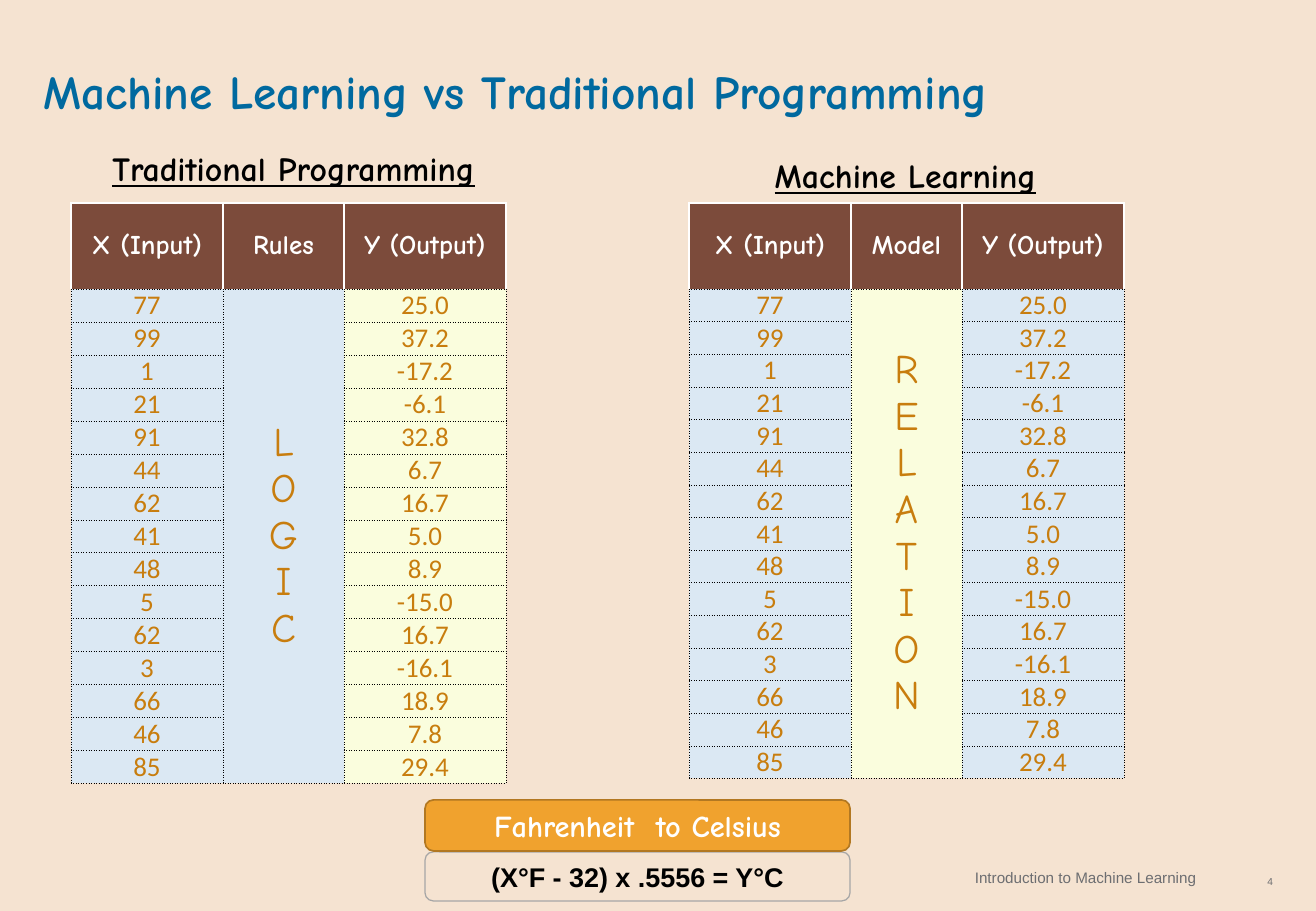
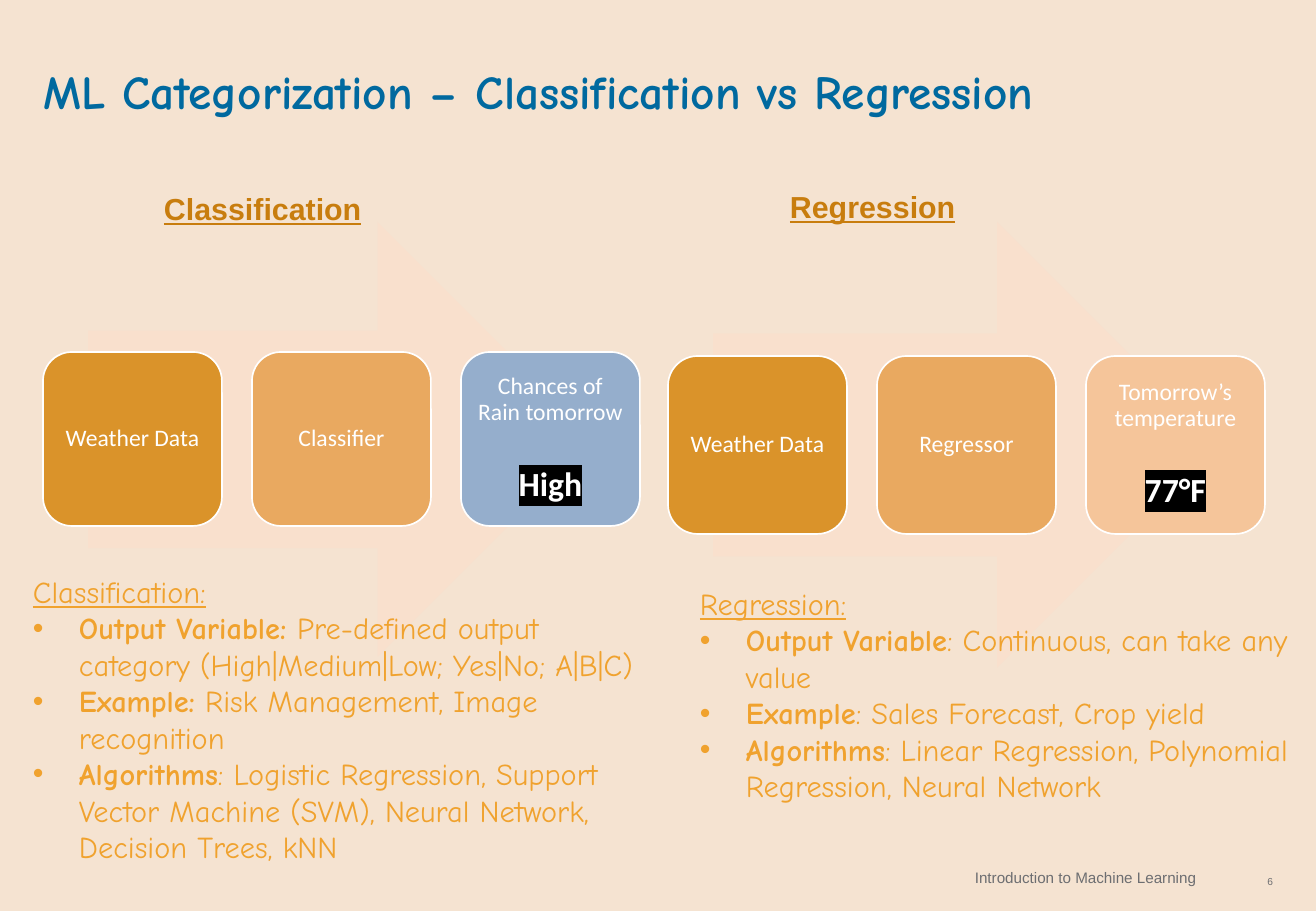
"""Build two slides that compare machine learning approaches."""
import dataclasses

import lxml.etree
import pptx
import pptx.dml.color
import pptx.enum.shapes
import pptx.enum.text
import pptx.oxml.ns
import pptx.util

ALIGN = pptx.enum.text.PP_ALIGN
ANCHOR = pptx.enum.text.MSO_ANCHOR
SHAPE = pptx.enum.shapes.MSO_SHAPE
COMIC, PLAIN, CARD = "Comic Neue", "Arial", "Calibri"
SAND, BLUE, BROWN, OCHRE, GOLD = "F5E3D1", "00699F", "7C4B3B", "C87D0E", "F0A22E"
GREY, WHITE, BLACK, ICE, CREAM = "6D6E71", "FFFFFF", "000000", "DBE8F3", "FAFDDD"


@dataclasses.dataclass(frozen=True)
class Look:
    face: str
    size: int
    hue: str
    bold: bool = False
    under: bool = False
    mark: str = ""


def px(count):
    return pptx.util.Emu(round(count * 914400 / 121.5))


def color(code):
    return pptx.dml.color.RGBColor.from_string(code)


def node(root, tag, **attrs):
    return lxml.etree.SubElement(root, pptx.oxml.ns.qn(tag), **attrs)


class Deck:
    def __init__(self):
        self.show = pptx.Presentation()
        self.show.slide_width, self.show.slide_height = px(1316), px(911)
        ground = self.show.slide_master.background.fill
        ground.solid()
        ground.fore_color.rgb = color(SAND)
        self.slide = None

    def start(self, title, number):
        self.slide = self.show.slides.add_slide(self.show.slide_layouts[5])
        head = self.slide.shapes.title
        head.left, head.top, head.width, head.height = map(px, (43, 27, 1231, 93))
        frame = head.text_frame
        frame.auto_size = pptx.enum.text.MSO_AUTO_SIZE.NONE
        self.inset(frame, 0)
        frame.vertical_anchor = ANCHOR.BOTTOM
        self.line(frame, [(title, Look(COMIC, 28, BLUE, True))]).line_spacing = 0.9
        for text, box, size in (
            ("Introduction to Machine Learning", (752, 860, 444, 34), 9),
            (str(number), (1226, 861, 47, 40), 6),
        ):
            self.text(box, text, Look(PLAIN, size, GREY), ALIGN.RIGHT, 0, ANCHOR.MIDDLE)

    def inset(self, item, side):
        item.margin_left = item.margin_right = px(side)
        item.margin_top = item.margin_bottom = px(side)

    def line(self, frame, runs, align=ALIGN.LEFT, first=True):
        par = frame.paragraphs[0] if first else frame.add_paragraph()
        par.alignment = align
        for text, look in runs:
            run = par.add_run()
            run.text = text
            font = run.font
            font.size = pptx.util.Pt(look.size)
            font.bold, font.underline = look.bold, look.under
            font.color.rgb = color(look.hue)
            font.name = look.face
            if look.mark:
                props = run._r.get_or_add_rPr()
                mark = node(props, "a:highlight")
                node(mark, "a:srgbClr", val=look.mark)
                props.find(pptx.oxml.ns.qn("a:solidFill")).addnext(mark)
        return par

    def text(self, box, text, look, align=ALIGN.LEFT, side=None, anchor=ANCHOR.TOP):
        frame = self.slide.shapes.add_textbox(*map(px, box)).text_frame
        frame.word_wrap = True
        frame.vertical_anchor = anchor
        if side is not None:
            self.inset(frame, side)
        self.line(frame, [(text, look)], align)
        return frame

    def shape(self, kind, box, fill="", edge="", width=1.0):
        item = self.slide.shapes.add_shape(kind, *map(px, box))
        item.shadow.inherit = False
        if fill:
            item.fill.solid()
            item.fill.fore_color.rgb = color(fill)
        else:
            item.fill.background()
        if edge:
            item.line.color.rgb = color(edge)
            item.line.width = pptx.util.Pt(width)
        else:
            item.line.fill.background()
        frame = item.text_frame
        frame.word_wrap = True
        frame.vertical_anchor = ANCHOR.MIDDLE
        return frame

    def bullets(self, box, title, points):
        look = Look(COMIC, 18, GOLD)
        strong = dataclasses.replace(look, bold=True)
        frame = self.text(box, title, dataclasses.replace(look, under=True))
        for lead, rest in points:
            par = self.line(frame, [(lead, strong), (rest, look)], first=False)
            props = par._p.get_or_add_pPr()
            props.set("marL", str(px(46)))
            props.set("indent", str(-px(46)))
            node(props, "a:buFont", typeface=PLAIN)
            node(props, "a:buChar", char="•")

    def edges(self, cell, head):
        props = cell._tc.get_or_add_tcPr()
        for side in "LRTB":
            solid = head and side != "B"
            edge = node(props, "a:ln" + side, w="12700" if solid else "3175")
            node(node(edge, "a:solidFill"), "a:srgbClr", val=WHITE if solid else BLACK)
            node(edge, "a:prstDash", val="solid" if solid else "sysDot")

    def cell(self, cell, lines, look, fill, head=False):
        self.edges(cell, head)
        cell.fill.solid()
        cell.fill.fore_color.rgb = color(fill)
        cell.vertical_anchor = ANCHOR.MIDDLE
        self.inset(cell, 0)
        for index, text in enumerate(lines):
            self.line(cell.text_frame, [(text, look)], ALIGN.CENTER, index == 0)

    def table(self, left, widths, depth, heads, word, fills, pairs):
        rows = len(pairs) + 1
        box = (left, 203, sum(widths), 86 + depth)
        grid = self.slide.shapes.add_table(rows, 3, *map(px, box)).table
        grid.first_row = grid.horz_banding = False
        for col, width in zip(grid.columns, widths):
            col.width = px(width)
        for index, row in enumerate(grid.rows):
            row.height = px(depth / len(pairs)) if index else px(86)
        grid.cell(1, 1).merge(grid.cell(rows - 1, 1))
        for col, text in enumerate(heads):
            self.cell(grid.cell(0, col), [text], Look(COMIC, 16, WHITE, True), BROWN, True)
        for row, (source, result) in enumerate(pairs, 1):
            letters = word if row == 1 else ""
            for col, lines in enumerate(([source], letters, [result])):
                look = Look(COMIC, 24, OCHRE) if col == 1 else Look(CARD, 16, OCHRE)
                self.cell(grid.cell(row, col), lines, look, fills[col])

    def flow(self, left, span, steps):
        top, tall = 222, round(span * 0.4)
        self.shape(SHAPE.RIGHT_ARROW, (left + 45, top, 507, span), "F9E0CD")
        for index, (label, value, fill) in enumerate(steps):
            box = (left + 209 * index, top + (span - tall) // 2, 179, tall)
            frame = self.shape(SHAPE.ROUNDED_RECTANGLE, box, fill, WHITE)
            self.inset(frame, 8)
            pars = [self.line(frame, [(label, Look(CARD, 14, WHITE))], ALIGN.CENTER)]
            if value:
                look = Look(CARD, 20, WHITE, True, mark=BLACK)
                pars.append(self.line(frame, [(value, look)], ALIGN.CENTER, False))
                pars[1].space_before = pptx.util.Pt(20)
            for par in pars:
                par.line_spacing = 0.9
                par.space_after = pptx.util.Pt(5)


def compare(deck):
    deck.start("Machine Learning vs Traditional Programming", 4)
    pairs = list(zip(
        "77 99 1 21 91 44 62 41 48 5 62 3 66 46 85".split(),
        "25.0 37.2 -17.2 -6.1 32.8 6.7 16.7 5.0 8.9 -15.0 16.7 -16.1 18.9 7.8 29.4".split(),
    ))
    for left, widths, depth, mid, word, fills, label, box in (
        (71, (152, 121, 162), 495, "Rules", "LOGIC", (ICE, ICE, CREAM),
         "Traditional Programming", (81, 142, 425, 53)),
        (689, (162, 111, 162), 490, "Model", "RELATION", (ICE, CREAM, ICE),
         "Machine Learning", (708, 149, 395, 53)),
    ):
        heads = ("X (Input)", mid, "Y (Output)")
        deck.table(left, widths, depth, heads, word, fills, pairs)
        deck.text(box, label, Look(COMIC, 20, BLACK, True, True), ALIGN.CENTER)
    for top, tall, fill, edge, width, text, look in (
        (852, 49, "", "A6A6A6", 0.75, "(X°F - 32) x .5556 = Y°C", Look(PLAIN, 16, BLACK, True)),
        (800, 51, GOLD, "B27822", 1, "Fahrenheit  to Celsius", Look(COMIC, 18, WHITE, True)),
    ):
        frame = deck.shape(SHAPE.ROUNDED_RECTANGLE, (425, top, 425, tall), fill, edge, width)
        deck.line(frame, [(text, look)], ALIGN.CENTER)


def sort(deck):
    deck.start("ML Categorization – Classification vs Regression", 6)
    for left, span, tool, last, label, spot, box, points in (
        (43, 435, "Classifier", ("Chances of Rain tomorrow", "High", "95AECC"),
         "Classification", (152, 184, 240, 49), (21, 567, 628, 344), (
             ("Output Variable: ", "Pre-defined output category (High|Medium|Low; Yes|No; A|B|C)"),
             ("Example:", " Risk Management, Image recognition"),
             ("Algorithms", ": Logistic Regression, Support Vector Machine (SVM), "
              "Neural Network, Decision Trees, kNN"))),
        (668, 446, "Regressor", ("Tomorrow’s temperature", "77°F", "F5C59A"),
         "Regression", (778, 182, 240, 49), (688, 579, 628, 270), (
             ("Output Variable", ": Continuous, can take any value"),
             ("Example", ": Sales Forecast, Crop yield"),
             ("Algorithms", ": Linear Regression, Polynomial Regression, Neural Network"))),
    ):
        deck.flow(left, span, (("Weather Data", "", "DA932A"), (tool, "", "E9A960"), last))
        deck.text(spot, label, Look(PLAIN, 18, OCHRE, True, True))
        deck.bullets(box, label + ":", points)


def main():
    deck = Deck()
    compare(deck)
    sort(deck)
    deck.show.save("out.pptx")


if __name__ == "__main__":
    main()
